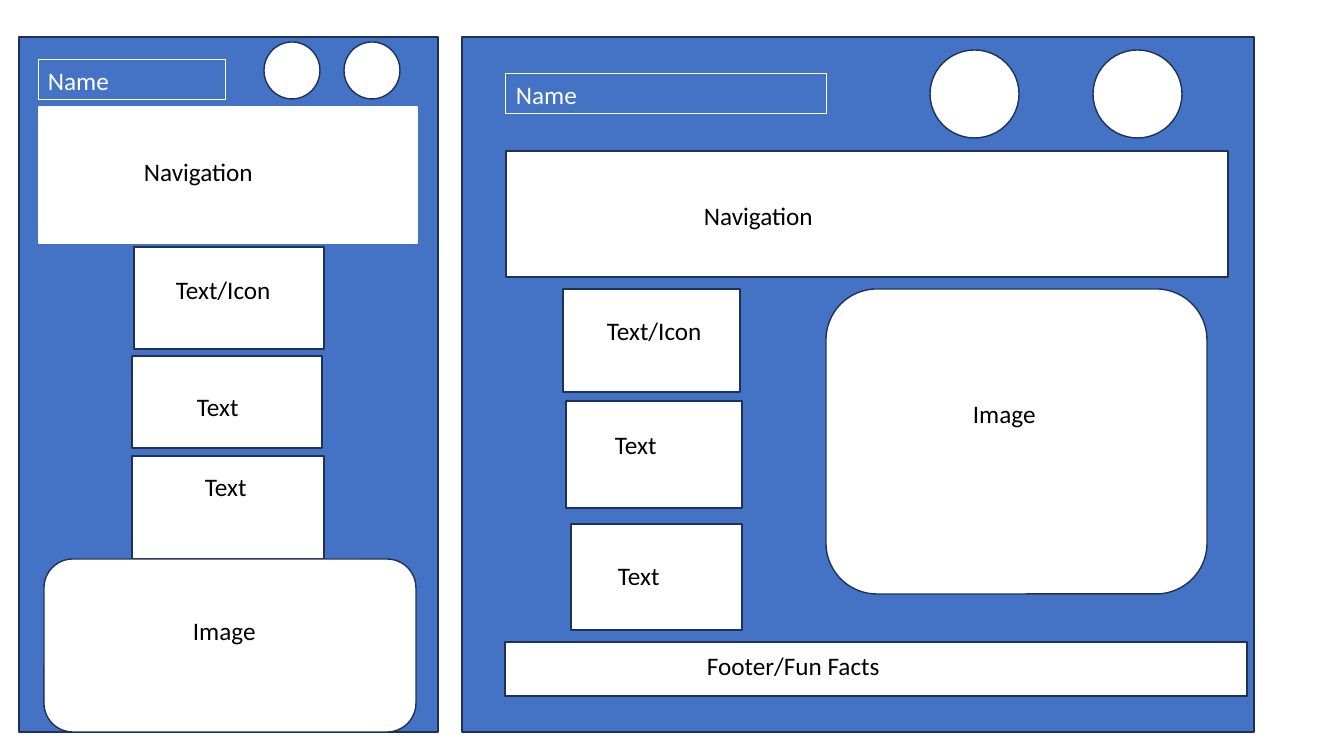
from dataclasses import dataclass
from typing import Optional

import pptx
import pptx.dml.color
import pptx.enum.shapes
import pptx.enum.text
import pptx.util

EMU_PER_PIXEL = 914400 / 100.8
CAPTION_HEIGHT = 40
Kind = pptx.enum.shapes.MSO_SHAPE


@dataclass(frozen=True)
class Theme:
    panel: str = "4472C4"
    paper: str = "FFFFFF"
    outline: str = "1E3256"
    ink: str = "000000"
    font: str = "Calibri"
    text_size: float = 18
    block_line: float = 1
    name_line: float = 0.75


@dataclass(frozen=True)
class Caption:
    text: str
    left: int
    top: int
    width: int
    framed: bool = False


@dataclass(frozen=True)
class Block:
    left: int
    top: int
    width: int
    height: int
    caption: Optional[Caption] = None
    kind: Kind = Kind.RECTANGLE
    fill: str = Theme.paper
    outline: str = Theme.outline


@dataclass(frozen=True)
class Wireframe:
    panel: Block
    name: Caption
    blocks: tuple[Block, ...]


def px(pixels: int) -> pptx.util.Emu:
    return pptx.util.Emu(round(pixels * EMU_PER_PIXEL))


def rgb(value: str) -> pptx.dml.color.RGBColor:
    return pptx.dml.color.RGBColor.from_string(value)


def apply_format(target, values: dict) -> None:
    for attribute, value in values.items():
        setattr(target, attribute, value)


def draw_line(shape, color: str, width: float) -> None:
    shape.line.color.rgb = rgb(color)
    shape.line.width = pptx.util.Pt(width)


def draw_caption(slide, caption: Caption) -> None:
    box = slide.shapes.add_textbox(
        px(caption.left), px(caption.top), px(caption.width), px(CAPTION_HEIGHT))
    apply_format(box.text_frame, {
        "word_wrap": True,
        "auto_size": pptx.enum.text.MSO_AUTO_SIZE.SHAPE_TO_FIT_TEXT,
    })
    run = box.text_frame.paragraphs[0].add_run()
    run.text = caption.text
    apply_format(run.font, {"name": Theme.font, "size": pptx.util.Pt(Theme.text_size)})
    run.font.color.rgb = rgb(Theme.paper if caption.framed else Theme.ink)
    if caption.framed:
        draw_line(box, Theme.paper, Theme.name_line)


def draw_block(slide, block: Block) -> None:
    shape = slide.shapes.add_shape(
        block.kind, px(block.left), px(block.top), px(block.width), px(block.height))
    shape.shadow.inherit = False
    shape.fill.solid()
    shape.fill.fore_color.rgb = rgb(block.fill)
    draw_line(shape, block.outline, Theme.block_line)
    if block.caption:
        draw_caption(slide, block.caption)


def draw_wireframe(slide, wireframe: Wireframe) -> None:
    draw_block(slide, wireframe.panel)
    draw_caption(slide, wireframe.name)
    for block in wireframe.blocks:
        draw_block(slide, block)


def circles(lefts: tuple[int, int], top: int, width: int, height: int) -> tuple[Block, ...]:
    return tuple(Block(left, top, width, height, kind=Kind.OVAL) for left in lefts)


# Narrow layout: everything stacked in one column
mobile = Wireframe(
    Block(19, 37, 419, 695, fill=Theme.panel),
    Caption("Name", 38, 60, 188, framed=True),
    (
        *circles((264, 344), 42, 56, 57),
        Block(39, 107, 378, 136, Caption("Navigation", 134, 151, 167), outline=Theme.paper),
        Block(134, 247, 190, 102, Caption("Text/Icon", 166, 269, 123)),
        Block(132, 356, 190, 92, Caption("Text", 187, 386, 80)),
        Block(132, 456, 192, 103, Caption("Text", 195, 466, 97)),
        Block(44, 559, 372, 173, Caption("Image", 183, 610, 100), Kind.ROUNDED_RECTANGLE),
    ),
)

# Wide layout: text column beside the image, footer below
desktop = Wireframe(
    Block(462, 37, 792, 695, fill=Theme.panel),
    Caption("Name", 506, 74, 321, framed=True),
    (
        *circles((930, 1093), 50, 89, 88),
        Block(506, 151, 722, 126, Caption("Navigation", 694, 195, 232)),
        Block(563, 289, 177, 103, Caption("Text/Icon", 597, 310, 116)),
        Block(566, 401, 176, 107, Caption("Text", 605, 424, 102)),
        Block(571, 524, 171, 106, Caption("Text", 608, 555, 96)),
        Block(826, 289, 381, 305, Caption("Image", 963, 393, 173), Kind.ROUNDED_RECTANGLE),
        Block(505, 642, 742, 54, Caption("Footer/Fun Facts", 697, 645, 277)),
    ),
)

# Slide
deck = pptx.Presentation()
apply_format(deck, {"slide_width": px(1344), "slide_height": px(756)})
page = deck.slides.add_slide(deck.slide_layouts[6])
for layout in (mobile, desktop):
    draw_wireframe(page, layout)
deck.save("out.pptx")
